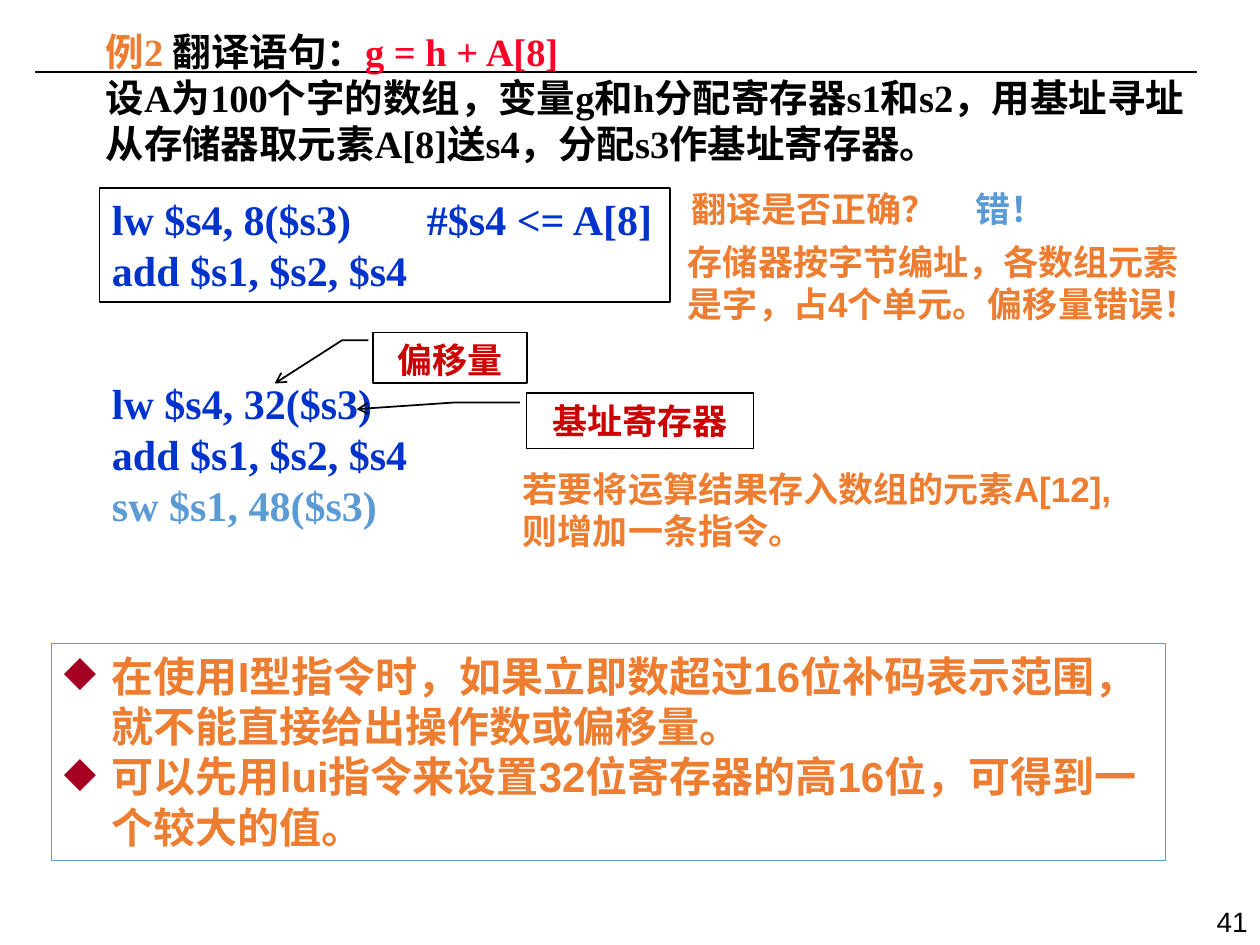
from lxml import etree
from pptx import Presentation
from pptx import util as u
from pptx.dml.color import RGBColor
from pptx.enum import shapes, text
from pptx.oxml import ns

Inches, Pt = u.Inches, u.Pt
SANS, SERIF = "Arial", "Times New Roman"
COLORS = {"black": "000000", "orange": "ED7D31", "blue": "5B9BD5", "code": "0033CC",
          "red": "FC0128", "label": "CC0000", "bullet": "A50021"}
TIGHT = (0.07, 0.03)


def rgb(name):
    return RGBColor.from_string(COLORS[name])


def add_element(parent, tag, **attrs):
    return etree.SubElement(parent, ns.qn(tag), **attrs)


def set_bullet(p, char, color, indent):
    pPr = p._p.get_or_add_pPr()
    pPr.set("marL", str(Inches(indent)))
    pPr.set("indent", str(-Inches(indent)))
    add_element(add_element(pPr, "a:buClr"), "a:srgbClr", val=COLORS[color])
    add_element(pPr, "a:buChar", char=char)


def set_tab(p, pos):
    tabs = add_element(p._p.get_or_add_pPr(), "a:tabLst")
    add_element(tabs, "a:tab", pos=str(Inches(pos)), algn="l")


def write(sp, paragraphs, size=20, font=SANS, color="orange", bold=True, align="LEFT",
          anchor="TOP", insets=(0.1, 0.05), wrap=True, grow=True, bullet=None, tab=None):
    """Fill a shape; a paragraph is a string or a list of (text, color) runs."""
    tf = sp.text_frame
    tf.word_wrap = wrap
    tf.auto_size = text.MSO_AUTO_SIZE.SHAPE_TO_FIT_TEXT if grow else text.MSO_AUTO_SIZE.NONE
    tf.vertical_anchor = getattr(text.MSO_ANCHOR, anchor)
    tf.margin_left = tf.margin_right = Inches(insets[0])
    tf.margin_top = tf.margin_bottom = Inches(insets[1])
    for i, content in enumerate(paragraphs):
        p = tf.add_paragraph() if i else tf.paragraphs[0]
        p.alignment = getattr(text.PP_ALIGN, align)
        if bullet:
            set_bullet(p, bullet, "bullet", 0.38)
        if tab:
            set_tab(p, tab)
        runs = [(content, color)] if isinstance(content, str) else content
        for words, run_color in runs:
            r = p.add_run()
            r.text = words
            r.font.name, r.font.size, r.font.bold = font, Pt(size), bold
            r.font.color.rgb = rgb(run_color)


def add_text(s, box, paragraphs, **fmt):
    sp = s.shapes.add_textbox(*map(Inches, box))
    write(sp, paragraphs, **fmt)


def add_frame(s, box, paragraphs, kind=shapes.MSO_SHAPE.RECTANGLE, line="black", width=1, **fmt):
    sp = s.shapes.add_shape(kind, *map(Inches, box))
    sp.shadow.inherit = False
    sp.fill.background()
    sp.line.color.rgb = rgb(line)
    sp.line.width = Pt(width)
    write(sp, paragraphs, **fmt)
    return sp


def add_callout(s, box, label, leader):
    """Labelled box whose bent leader line ends in an arrow."""
    sp = add_frame(s, box, [label], kind=shapes.MSO_SHAPE.LINE_CALLOUT_2,
                   color="label", align="CENTER", grow=False)
    for i, value in enumerate(leader):
        sp.adjustments[i] = value
    add_element(sp.line._get_or_add_ln(), "a:tailEnd", type="arrow")


def add_rule(s, x1, x2, y):
    c = s.shapes.add_connector(shapes.MSO_CONNECTOR.STRAIGHT,
                               Inches(x1), Inches(y), Inches(x2), Inches(y))
    c.line.color.rgb = rgb("black")
    c.line.width = Pt(1)
    add_element(c._element.spPr, "a:effectLst")


def main():
    prs = Presentation()
    prs.slide_width, prs.slide_height = Inches(10), Inches(7.5)
    s = prs.slides.add_slide(prs.slide_layouts[6])
    code = {"size": 24, "font": SERIF, "color": "code"}

    # Header rule and page number
    add_rule(s, 0.28, 9.5, 0.57)
    add_text(s, (8.67, 7.13, 1.33, 0.37), ["41"], size=16, color="black",
             bold=False, align="RIGHT")

    # First translation
    add_frame(s, (0.79, 1.49, 4.53, 0.91),
              ["lw $s4, 8($s3)\t#$s4 <= A[8]", "add $s1, $s2, $s4"],
              wrap=False, tab=2.5, **code)

    # Problem statement
    add_text(s, (0.74, 0.17, 8.91, 1.21), [
        [("例2 ", "orange"), ("翻译语句：", "black"), ("g = h + A[8]", "red")],
        "设A为100个字的数组，变量g和h分配寄存器s1和s2，用基址寻址从存储器取元素A[8]送s4，分配s3作基址寄存器。",
    ], size=22, font=SERIF, color="black")

    # Why the first translation is wrong
    add_text(s, (5.39, 1.44, 2.25, 0.44), ["翻译是否正确？"])
    add_text(s, (7.64, 1.44, 0.97, 0.44), ["错！"], color="blue")
    add_text(s, (5.39, 1.88, 4.26, 0.73),
             ["存储器按字节编址，各数组元素是字，占4个单元。偏移量错误！"], insets=TIGHT)

    # Corrected code with callouts
    add_text(s, (0.79, 2.95, 3.11, 0.91), ["lw $s4, 32($s3)", "add $s1, $s2, $s4"], **code)
    add_callout(s, (2.96, 2.64, 1.22, 0.4), "偏移量",
                (0.15, -0.03, 0.15, -0.2, 1.01, -0.64))
    add_callout(s, (4.18, 3.12, 1.8, 0.44), "基址寄存器",
                (0.17, -0.03, 0.17, -0.32, 0.29, -0.75))

    # Extra store instruction
    add_text(s, (4.08, 3.68, 4.88, 0.73),
             ["若要将运算结果存入数组的元素A[12],则增加一条指令。"], insets=TIGHT)
    add_text(s, (0.79, 3.76, 3.11, 0.5), ["sw $s1, 48($s3)"], **{**code, "color": "blue"})

    # Notes on immediates
    add_frame(s, (0.41, 5.11, 8.84, 1.72), [
        "在使用I型指令时，如果立即数超过16位补码表示范围，就不能直接给出操作数或偏移量。",
        "可以先用lui指令来设置32位寄存器的高16位，可得到一个较大的值。",
    ], line="blue", width=0.75, size=24, bullet="◆")

    prs.save("out.pptx")


if __name__ == "__main__":
    main()
